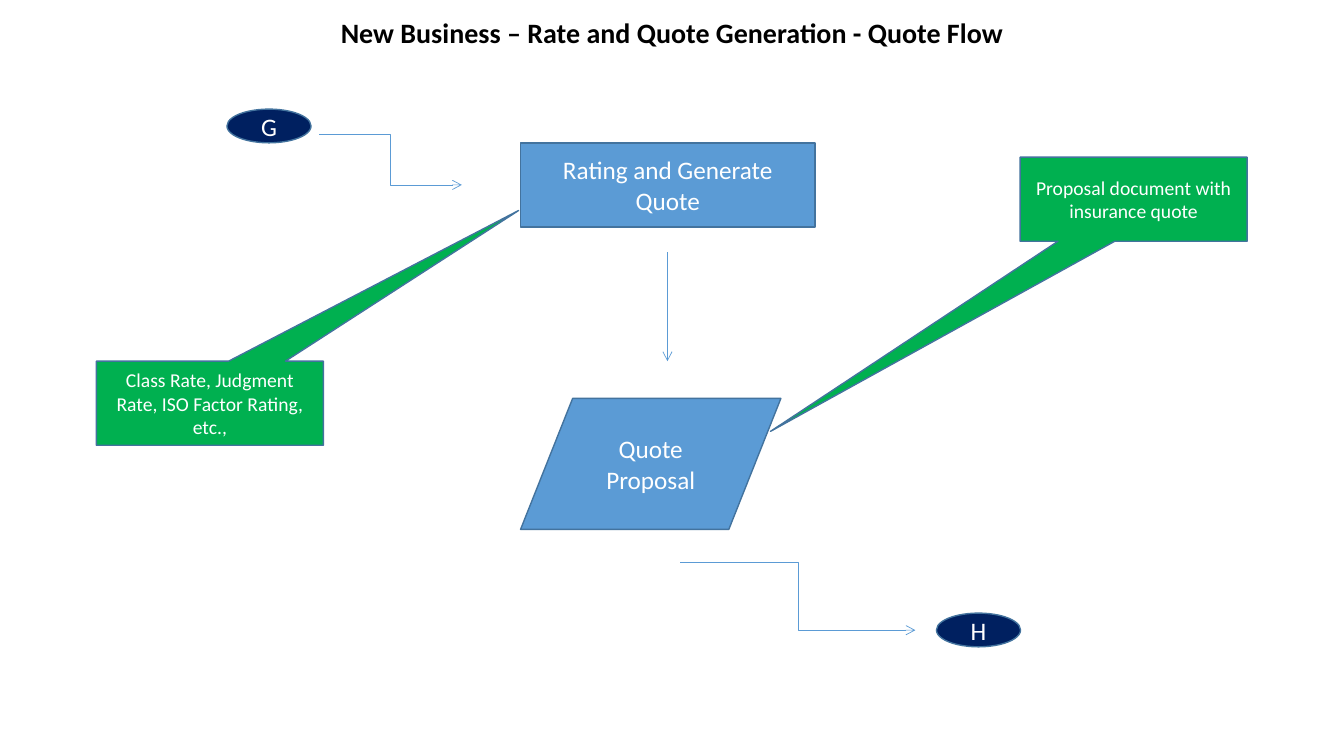
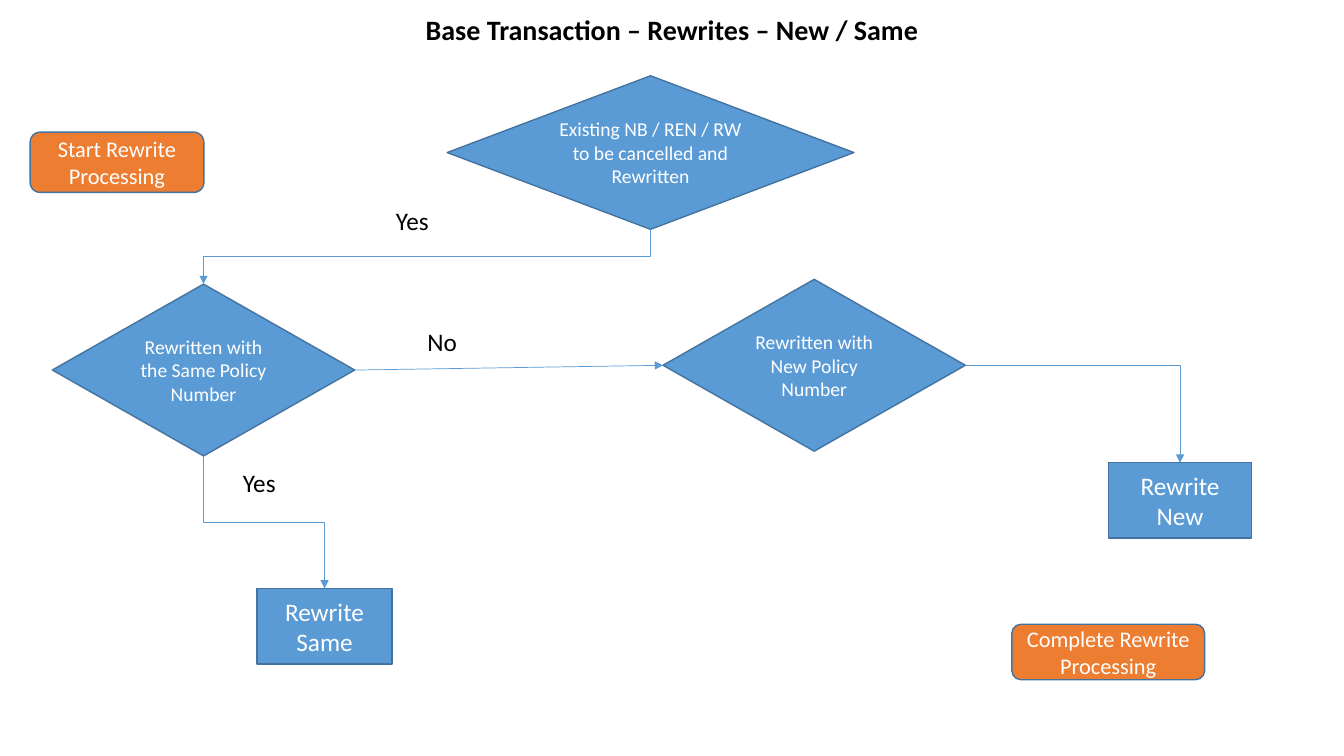
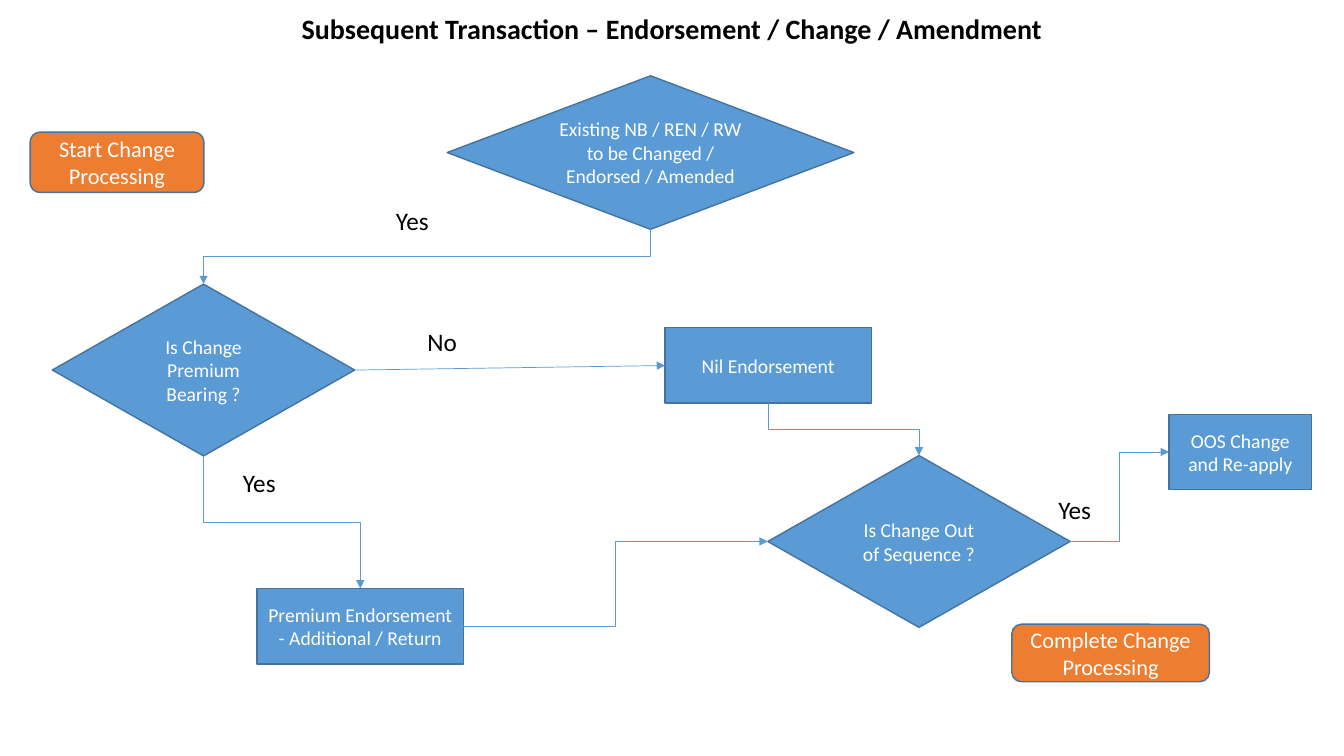
from lxml import etree
from pptx import Presentation
from pptx.dml.color import RGBColor
from pptx.enum.shapes import MSO_CONNECTOR, MSO_SHAPE
from pptx.enum.text import MSO_ANCHOR, MSO_AUTO_SIZE, PP_ALIGN
from pptx.oxml.ns import qn
from pptx.util import Cm, Pt

FONT = "Calibri"
BLACK, WHITE = "000000", "FFFFFF"
BLUE, OUTLINE = "5B9BD5", "43739E"
NAVY, GREEN, ORANGE = "002060", "00B050", "ED7D31"

OVAL = MSO_SHAPE.OVAL
PROCESS = MSO_SHAPE.FLOWCHART_PROCESS
DATA = MSO_SHAPE.FLOWCHART_DATA
DECISION = MSO_SHAPE.FLOWCHART_DECISION
CALLOUT = MSO_SHAPE.RECTANGULAR_CALLOUT
RECTANGLE = MSO_SHAPE.RECTANGLE
ROUNDED = MSO_SHAPE.ROUNDED_RECTANGLE
STRAIGHT, ELBOW = MSO_CONNECTOR.STRAIGHT, MSO_CONNECTOR.ELBOW
CENTER, LEFT_ALIGN = PP_ALIGN.CENTER, PP_ALIGN.LEFT
MIDDLE, TOP_ANCHOR = MSO_ANCHOR.MIDDLE, MSO_ANCHOR.TOP
NO_FIT, GROW = MSO_AUTO_SIZE.NONE, MSO_AUTO_SIZE.SHAPE_TO_FIT_TEXT

# Connection sites of rectangles and diamonds
TOP, LEFT, BOTTOM, RIGHT = range(4)

PAGE_WIDTH, PAGE_HEIGHT = 33.87, 19.05
CONNECTOR_SIZE = 2.12, 0.85
CALLOUT_SIZE = 5.72, 2.12
DECISION_SIZE = 7.62, 4.33
STEP_SIZE = 3.6, 1.9
ENDORSEMENT_SIZE = 5.2, 1.9


def colour(value):
    return RGBColor.from_string(value)


def write(box, text, size, color, align=CENTER, anchor=MIDDLE, fit=NO_FIT):
    frame = box.text_frame
    frame.word_wrap = True
    frame.auto_size = fit
    frame.vertical_anchor = anchor
    frame.text = text
    para = frame.paragraphs[0]
    para.alignment = align
    para.font.name = FONT
    para.font.size = Pt(size)
    para.font.color.rgb = colour(color)
    return para


def add_page(deck, title, top, height=1.27):
    page = deck.slides.add_slide(deck.slide_layouts[5])
    box = page.shapes.title
    box.left, box.top = Cm(0), Cm(top)
    box.width, box.height = Cm(PAGE_WIDTH), Cm(height)
    para = write(box, title, 20, BLACK)
    para.font.bold = True
    para.line_spacing = 0.9
    return page


def add_node(page, kind, place, size, text, points=14, fill=BLUE):
    node = page.shapes.add_shape(kind, *map(Cm, place + size))
    node.shadow.inherit = False
    node.fill.solid()
    node.fill.fore_color.rgb = colour(fill)
    node.line.color.rgb = colour(OUTLINE)
    node.line.width = Pt(1)
    write(node, text, points, WHITE)
    return node


def add_callout(page, place, text, tip):
    """Tip is measured from the centre, in widths and heights."""
    callout = add_node(page, CALLOUT, place, CALLOUT_SIZE, text, fill=GREEN)
    callout.adjustments[0], callout.adjustments[1] = tip


def add_label(page, left, top, text):
    box = page.shapes.add_textbox(Cm(left), Cm(top), Cm(1.57), Cm(1.02))
    write(box, text, 18, BLACK, LEFT_ALIGN, TOP_ANCHOR, GROW)


def add_arrow(page, kind, begin=(0, 0), end=(0, 0), head="triangle"):
    arrow = page.shapes.add_connector(kind, *map(Cm, begin + end))
    arrow.line.color.rgb = colour(BLUE)
    arrow.line.width = Pt(0.5)
    properties = arrow._element.spPr
    etree.SubElement(properties.find(qn("a:ln")), qn("a:tailEnd"), type=head)
    etree.SubElement(properties, qn("a:effectLst"))
    return arrow


def turn_downward(arrow):
    """Rotate an elbow so that it leaves and arrives vertically."""
    width, height = arrow.width, arrow.height
    middle_x = arrow.left + width // 2
    middle_y = arrow.top + height // 2
    to_right = arrow.end_x > arrow.begin_x
    arrow.left, arrow.top = middle_x - height // 2, middle_y - width // 2
    arrow.width, arrow.height = height, width
    frame = arrow._element.spPr.find(qn("a:xfrm"))
    frame.set("rot", "16200000" if to_right else "5400000")
    frame.set("flipH", "1" if to_right else "0")
    frame.set("flipV", "0")


def connect(page, source, source_site, target, target_site, kind=ELBOW):
    arrow = add_arrow(page, kind)
    arrow.begin_connect(source, source_site)
    arrow.end_connect(target, target_site)
    if kind == ELBOW and source_site == BOTTOM:
        turn_downward(arrow)
    elif kind == ELBOW and target_site == TOP:
        geometry = arrow._element.spPr.find(qn("a:prstGeom"))
        geometry.set("prst", "bentConnector2")


def add_decision_flow(page, name, question, check, complete_size):
    """Draw the part that both transaction flows share; return its last decision."""
    add_node(page, ROUNDED, (0.76, 3.33), (4.38, 1.52),
             f"Start {name} Processing", 16, ORANGE)
    add_node(page, ROUNDED, (25.5, 15.73), complete_size,
             f"Complete {name} Processing", 16, ORANGE)
    first = add_node(page, DECISION, (11.27, 1.91), (10.25, 3.87), question)
    second = add_node(page, DECISION, (1.32, 7.16), DECISION_SIZE, check)
    connect(page, first, BOTTOM, second, TOP)
    add_label(page, 9.73, 5.05, "Yes")
    add_label(page, 5.87, 11.66, "Yes")
    add_label(page, 10.52, 8.1, "No")
    return second


def add_quote_page(deck):
    page = add_page(deck, "New Business – Rate and Quote Generation - Quote Flow",
                    0.18, 1.35)
    add_node(page, OVAL, (5.72, 2.75), CONNECTOR_SIZE, "G", 18, NAVY)
    add_node(page, PROCESS, (13.12, 3.6), (7.42, 2.12),
             "Rating and Generate Quote", 18)
    add_node(page, DATA, (13.12, 10.04), (6.56, 3.3), "Quote Proposal", 18)
    add_callout(page, (2.43, 9.1),
                "Class Rate, Judgment Rate, ISO Factor Rating, etc.,", (1.36, -2.29))
    add_callout(page, (25.71, 3.96),
                "Proposal document with insurance quote", (-1.6, 2.76))
    add_node(page, OVAL, (23.6, 15.45), CONNECTOR_SIZE, "H", 18, NAVY)
    add_arrow(page, ELBOW, (8.05, 3.39), (11.64, 4.66), "arrow")
    add_arrow(page, STRAIGHT, (16.82, 6.35), (16.82, 9.1), "arrow")
    add_arrow(page, ELBOW, (17.15, 14.18), (23.07, 15.88), "arrow")


def add_rewrite_page(deck):
    page = add_page(deck, "Base Transaction – Rewrites – New / Same", 0.15)
    same_number = add_decision_flow(
        page, "Rewrite", "Existing NB / REN / RW to be cancelled and Rewritten",
        "Rewritten with the Same Policy Number", (4.86, 1.4))
    new_number = add_node(page, DECISION, (16.71, 7.04), DECISION_SIZE,
                          "Rewritten with New Policy Number")
    rewrite_same = add_node(page, RECTANGLE, (6.48, 14.83), (3.4, 1.9),
                            "Rewrite Same", 18)
    rewrite_new = add_node(page, RECTANGLE, (27.94, 11.66), STEP_SIZE,
                           "Rewrite New", 18)
    connect(page, same_number, BOTTOM, rewrite_same, TOP)
    connect(page, same_number, RIGHT, new_number, LEFT, STRAIGHT)
    connect(page, new_number, RIGHT, rewrite_new, TOP)


def add_change_page(deck):
    page = add_page(
        deck, "Subsequent Transaction – Endorsement / Change / Amendment", 0.13)
    premium_bearing = add_decision_flow(
        page, "Change", "Existing NB / REN / RW to be Changed / Endorsed / Amended",
        "Is Change Premium Bearing ?", (4.98, 1.45))
    premium = add_node(page, RECTANGLE, (6.48, 14.83), ENDORSEMENT_SIZE,
                       "Premium Endorsement - Additional / Return")
    nil = add_node(page, RECTANGLE, (16.76, 8.26), ENDORSEMENT_SIZE,
                   "Nil Endorsement")
    out_of_sequence = add_node(page, DECISION, (19.35, 11.48), DECISION_SIZE,
                               "Is Change Out of Sequence ?")
    reapply = add_node(page, RECTANGLE, (29.46, 10.44), STEP_SIZE,
                       "OOS Change and Re-apply")
    add_label(page, 26.42, 12.34, "Yes")
    connect(page, premium_bearing, BOTTOM, premium, TOP)
    connect(page, premium_bearing, RIGHT, nil, LEFT, STRAIGHT)
    connect(page, nil, BOTTOM, out_of_sequence, TOP)
    connect(page, premium, RIGHT, out_of_sequence, LEFT)
    connect(page, out_of_sequence, RIGHT, reapply, LEFT)


def main():
    deck = Presentation()
    deck.slide_width, deck.slide_height = Cm(PAGE_WIDTH), Cm(PAGE_HEIGHT)
    add_quote_page(deck)
    add_rewrite_page(deck)
    add_change_page(deck)
    deck.save("out.pptx")


if __name__ == "__main__":
    main()
